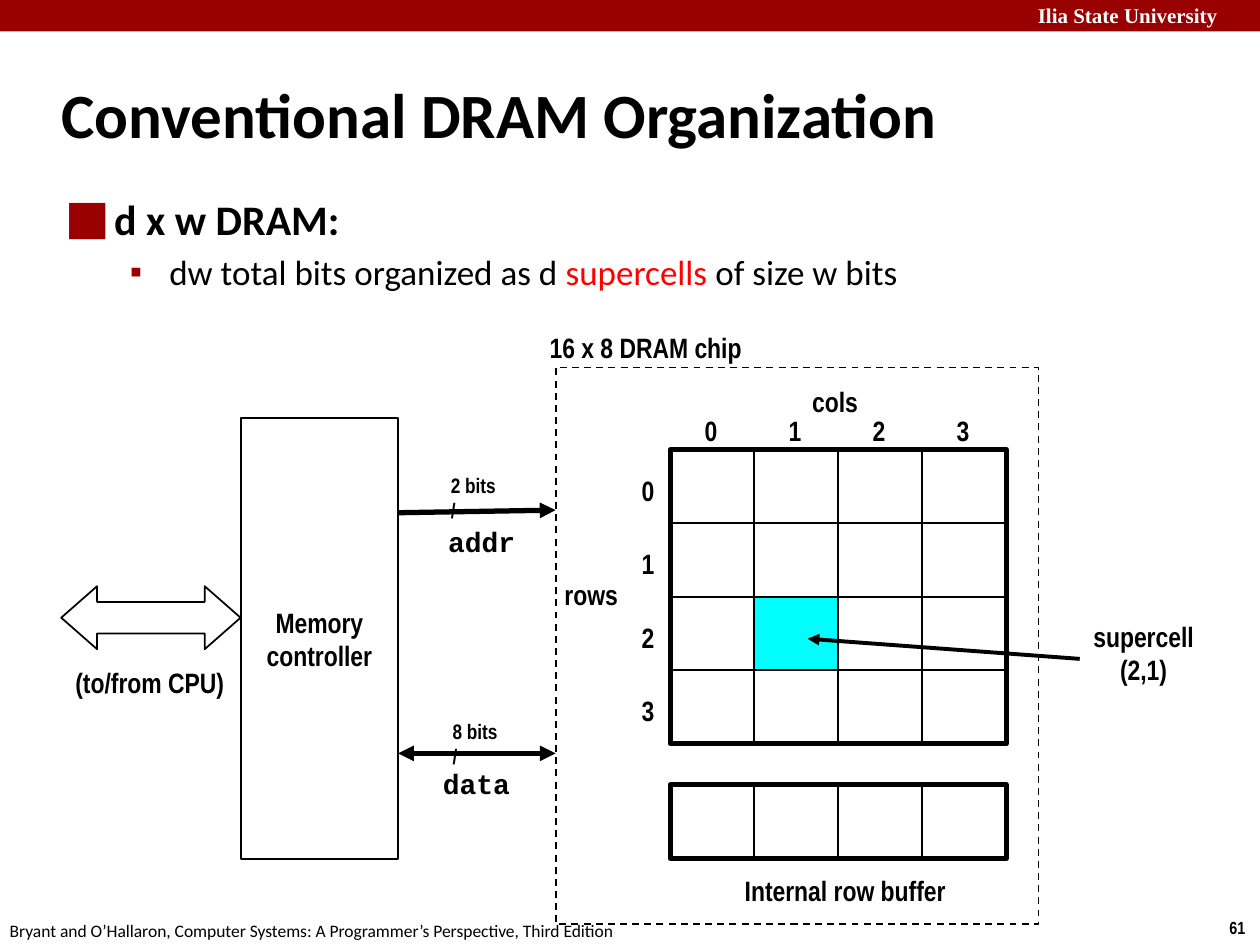
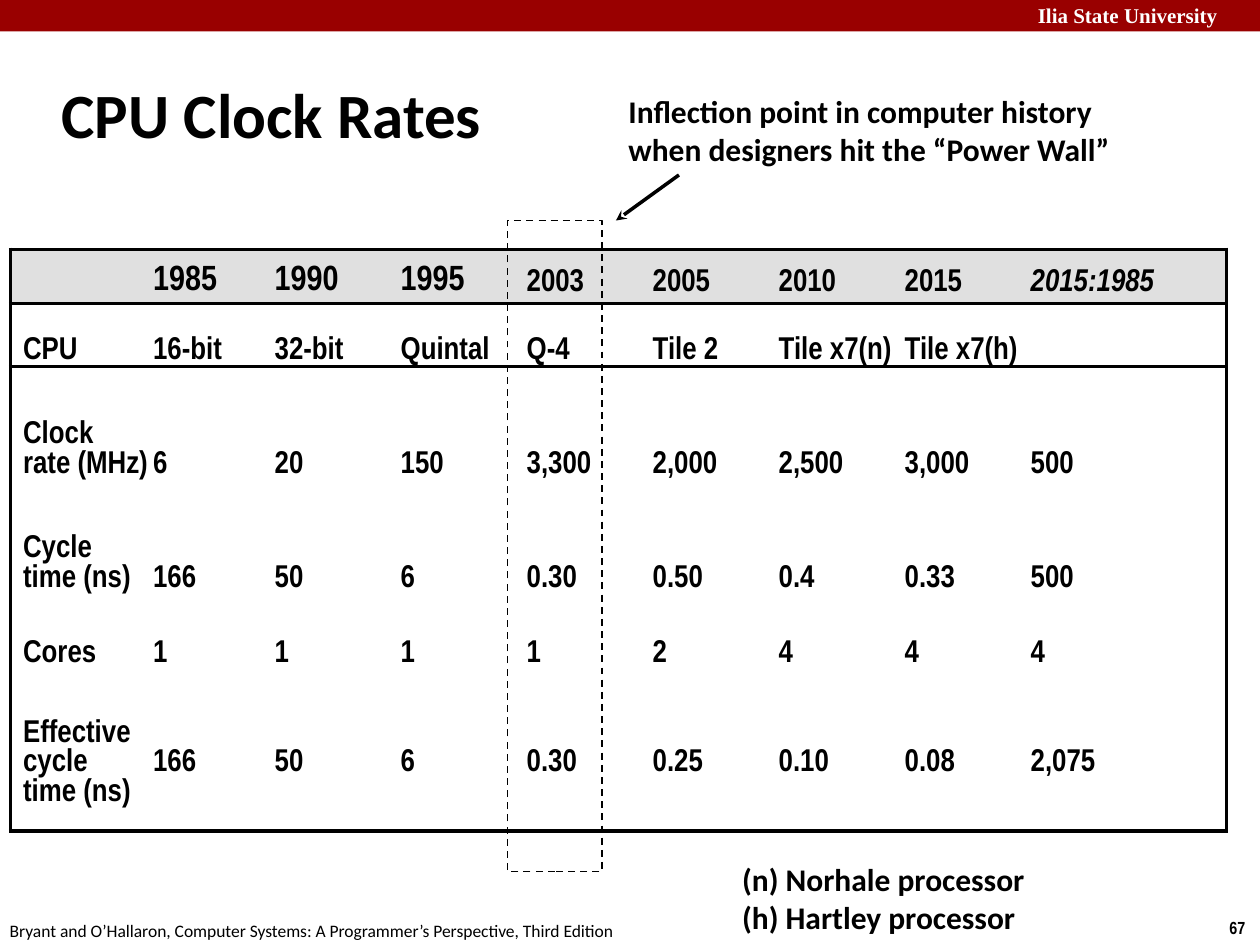
from itertools import product

from lxml import etree
from pptx import Presentation
from pptx.dml.color import RGBColor
from pptx.enum.dml import MSO_LINE
from pptx.enum.shapes import MSO_CONNECTOR, MSO_SHAPE
from pptx.enum.text import MSO_ANCHOR, MSO_AUTO_SIZE, PP_ALIGN
from pptx.oxml.ns import qn
from pptx.util import Pt

COLORS = {
    "band": "990000",
    "ink": "000000",
    "paper": "FFFFFF",
    "accent": "FF0000",
    "supercell": "00FFFF",
    "header": "E0E0E0",
}
NARROW, BODY, CODE, SERIF = "Arial Narrow", "Calibri", "Courier New", "Times New Roman"
NO_TABLE_STYLE = "{2D5ABB26-0587-4C30-8999-92F81FD0307C}"
TITLE_AND_CONTENT, TITLE_ONLY = 1, 5


def color(name):
    return RGBColor.from_string(COLORS[name])


def child(parent, tag, **attributes):
    return etree.SubElement(parent, qn(tag), attributes)


class Deck:
    """Holds the style and the slide being drawn; boxes are (left, top, width, height) in points."""

    def __init__(self):
        self.presentation = Presentation()
        self.presentation.slide_width = Pt(720)
        self.presentation.slide_height = Pt(540)
        self.slide = None

    def start_slide(self, layout, title, number):
        layouts = self.presentation.slide_layouts
        self.slide = self.presentation.slides.add_slide(layouts[layout])
        self.shape((0, 0, 720, 18), fill="band", line=None)
        self.text("Ilia State University", (586, -2, 139, 22), 12, SERIF,
                  ink="paper", anchor=MSO_ANCHOR.TOP)
        self.text(number, (695.5, 520.5, 24.5, 19.5), 10, anchor=MSO_ANCHOR.TOP)
        self.text("Bryant and O’Hallaron, Computer Systems: A Programmer’s Perspective, Third Edition",
                  (-1.5, 522, 366, 19.5), 10, BODY, bold=False, anchor=MSO_ANCHOR.TOP)
        frame = self.placeholder(self.slide.shapes.title, (28, 34.5, 598, 60))
        frame.vertical_anchor = MSO_ANCHOR.MIDDLE
        self.fill_lines(frame, title, 36, BODY)

    def place(self, shape, box):
        shape.left, shape.top, shape.width, shape.height = map(Pt, box)

    def placeholder(self, shape, box):
        self.place(shape, box)
        frame = shape.text_frame
        frame.auto_size = MSO_AUTO_SIZE.NONE
        frame.word_wrap = True
        return frame

    def run(self, paragraph, text, size, font=NARROW, ink="ink", bold=True, italic=False):
        run = paragraph.add_run()
        run.text = text
        run.font.name, run.font.size = font, Pt(size)
        run.font.bold, run.font.italic = bold, italic
        run.font.color.rgb = color(ink)

    def fill_lines(self, frame, text, size, font=NARROW, align=PP_ALIGN.LEFT, **style):
        for index, line in enumerate(text.split("\n")):
            paragraph = frame.add_paragraph() if index else frame.paragraphs[0]
            paragraph.alignment = align
            self.run(paragraph, line, size, font, **style)

    def text(self, text, box, size=16, font=NARROW, align=PP_ALIGN.LEFT,
             anchor=MSO_ANCHOR.MIDDLE, **style):
        frame = self.slide.shapes.add_textbox(*map(Pt, box)).text_frame
        frame.word_wrap = True
        frame.vertical_anchor = anchor
        frame.margin_right = 0
        if align == PP_ALIGN.CENTER:
            frame.margin_left = 0
        self.fill_lines(frame, text, size, font, align, **style)

    def bullet(self, paragraph, symbol, left, hanging, runs, size, bold, space_before=0):
        """Write one list paragraph; runs are (text, colour name) pairs."""
        properties = paragraph._p.get_or_add_pPr()
        properties.set("marL", str(Pt(left)))
        properties.set("indent", str(-Pt(hanging)))
        child(child(properties, "a:buClr"), "a:srgbClr", val=COLORS["band"])
        child(properties, "a:buChar", char=symbol)
        paragraph.space_before = Pt(space_before)
        for text, ink in runs:
            self.run(paragraph, text, size, BODY, ink, bold)

    def shape(self, box, kind=MSO_SHAPE.RECTANGLE, fill=None, line=1, dashed=False):
        shape = self.slide.shapes.add_shape(kind, *map(Pt, box))
        shape.shadow.inherit = False
        if fill:
            shape.fill.solid()
            shape.fill.fore_color.rgb = color(fill)
        else:
            shape.fill.background()
        if line:
            shape.line.color.rgb = color("ink")
            shape.line.width = Pt(line)
        else:
            shape.line.fill.background()
        if dashed:
            shape.line.dash_style = MSO_LINE.DASH
        return shape

    def arrow(self, start, end, width, head=None, tail="triangle"):
        connector = self.slide.shapes.add_connector(
            MSO_CONNECTOR.STRAIGHT, *map(Pt, start + end))
        connector.line.color.rgb = color("ink")
        connector.line.width = Pt(width)
        line = connector.line._get_or_add_ln()
        for tag, kind in (("a:headEnd", head), ("a:tailEnd", tail)):
            if kind:
                child(line, tag, type=kind)
        child(connector._element.spPr, "a:effectLst")

    def cell_grid(self, left, top, rows, columns, width, height, highlight=None):
        for row, column in product(range(rows), range(columns)):
            fill = "supercell" if (row, column) == highlight else "paper"
            self.shape((left + column * width, top + row * height, width, height), fill=fill)

    def cell_borders(self, cell, sides):
        properties = cell._tc.get_or_add_tcPr()
        for side in sides:
            line = child(properties, f"a:ln{side}", w=str(Pt(2.25)))
            child(child(line, "a:solidFill"), "a:srgbClr", val=COLORS["ink"])

    def table(self, rows, left, top, widths, heights):
        """Draw a framed table with a shaded header row and no inner grid."""
        shape = self.slide.shapes.add_table(len(rows), len(widths), Pt(left), Pt(top),
                                            Pt(sum(widths)), Pt(sum(heights)))
        table = shape.table
        table.first_row = table.horz_banding = False
        table._tbl.tblPr.find(qn("a:tableStyleId")).text = NO_TABLE_STYLE
        for column, width in zip(table.columns, widths):
            column.width = Pt(width)
        for row, height in zip(table.rows, heights):
            row.height = Pt(height)
        last_row, last_column = len(rows) - 1, len(widths) - 1
        for row, values in enumerate(rows):
            for column, value in enumerate(values):
                cell = table.cell(row, column)
                edges = (("L", column == 0), ("R", column == last_column),
                         ("T", row in (0, 1)), ("B", row in (0, last_row)))
                self.cell_borders(cell, [side for side, drawn in edges if drawn])
                if row == 0:
                    cell.fill.solid()
                    cell.fill.fore_color.rgb = color("header")
                else:
                    cell.fill.background()
                cell.margin_left = Pt(0 if column else 7.2)
                cell.margin_right = cell.margin_top = 0
                cell.margin_bottom = Pt(0 if row else 3)
                cell.vertical_anchor = MSO_ANCHOR.BOTTOM
                if row == last_row:
                    cell.vertical_anchor = MSO_ANCHOR.MIDDLE
                    cell.margin_top, cell.margin_bottom = Pt(21.5), Pt(6)
                size = 20 if row == 0 and column in (1, 2, 3) else 18
                self.fill_lines(cell.text_frame, value, size,
                                italic=row == 0 and column == last_column)


def draw_dram_slide(deck):
    deck.start_slide(TITLE_AND_CONTENT, "Conventional DRAM Organization", "61")
    frame = deck.placeholder(deck.slide.placeholders[1], (31, 107, 622, 392))
    deck.bullet(frame.paragraphs[0], "⬛", 27, 27, [("d x w DRAM:", "ink")], 24, True)
    detail = frame.add_paragraph()
    detail.level = 1
    deck.bullet(detail, "▪", 58.5, 22.5,
                [("dw total bits organized as d ", "ink"), ("supercells", "accent"),
                 (" of size w bits", "ink")], 20, False, space_before=4)

    grid_left, grid_top, buffer_top = 383, 257, 448.5
    cell_width, cell_height, count = 48, 42, 4
    deck.text("cols", (457, 216, 47, 27))
    deck.text("rows", (315.5, 326, 53, 27))
    deck.cell_grid(grid_left, grid_top, count, count, cell_width, cell_height, highlight=(2, 1))
    for index in range(count):
        deck.text(str(index), (395.5 + index * cell_width, 232.5, 23, 27))
        deck.text(str(index), (359.5, 266.5 + index * cell_height, 23, 27))
    deck.shape((grid_left, grid_top, count * cell_width, count * cell_height), line=3)
    deck.cell_grid(grid_left, buffer_top, 1, count, cell_width, cell_height)
    deck.shape((grid_left, buffer_top, count * cell_width, cell_height), line=3)
    deck.text("Internal row buffer", (417.5, 495, 131, 27), align=PP_ALIGN.CENTER)
    deck.shape((317.5, 210, 276, 318), dashed=True)
    deck.text("16 x 8 DRAM chip", (307, 185, 149, 27))

    deck.arrow((227.5, 293), (317.5, 291.5), 3)
    deck.text("addr", (249, 296, 53, 27), font=CODE)
    deck.arrow((227.5, 430.5), (317.5, 430.5), 3, head="triangle")
    deck.text("data", (246, 434, 53, 27), font=CODE)
    deck.text("supercell\n(2,1)", (617, 350, 73, 46), align=PP_ALIGN.CENTER)
    deck.arrow((617, 376.5), (461.5, 365), 2.25)
    deck.text("2 bits\n/", (250.5, 266.5, 46, 36), 12)
    deck.text("8 bits\n/", (251.5, 407, 46, 36), 12)

    controller = deck.shape((137.5, 239, 90, 252), fill="paper")
    controller.text_frame.vertical_anchor = MSO_ANCHOR.MIDDLE
    deck.fill_lines(controller.text_frame, "Memory\ncontroller", 16, align=PP_ALIGN.CENTER)
    bus = deck.shape((35, 335, 102.5, 36), MSO_SHAPE.LEFT_RIGHT_ARROW, fill="paper")
    bus.adjustments[0], bus.adjustments[1] = 0.5, 0.57
    deck.text("(to/from CPU)", (36, 376.5, 101, 27))


def draw_clock_rate_slide(deck):
    deck.start_slide(TITLE_ONLY, "CPU Clock Rates", "67")
    rows = [
        ("", "1985", "1990", "1995", "2003", "2005", "2010", "2015", "2015:1985"),
        ("CPU", "16-bit", "32-bit", "Quintal", "Q-4", "Tile 2", "Tile x7(n)", "Tile x7(h)", ""),
        ("Clock\nrate (MHz)", "6", "20", "150", "3,300", "2,000", "2,500", "3,000", "500"),
        ("Cycle\ntime (ns)", "166", "50", "6", "0.30", "0.50", "0.4", "0.33", "500"),
        ("Cores", "1", "1", "1", "1", "2", "4", "4", "4"),
        ("Effective\ncycle\ntime (ns)", "166", "50", "6", "0.30", "0.25", "0.10", "0.08", "2,075"),
    ]
    deck.table(rows, 6, 142.5, [81.5, 69.5] + [72] * 6 + [112], [31, 36, 65, 65, 43, 92])
    deck.text("Inflection point in computer history\nwhen designers hit the “Power Wall”",
              (352, 49, 292, 51), 18, BODY, anchor=MSO_ANCHOR.TOP)
    deck.arrow((388, 100), (352, 126), 2, tail="stealth")
    deck.shape((290, 126, 54, 372), dashed=True)
    deck.text("(n) Norhale processor\n(h) Hartley processor",
              (417, 488, 186, 51), 18, BODY, anchor=MSO_ANCHOR.TOP)


def main():
    deck = Deck()
    draw_dram_slide(deck)
    draw_clock_rate_slide(deck)
    deck.presentation.save("out.pptx")


if __name__ == "__main__":
    main()
